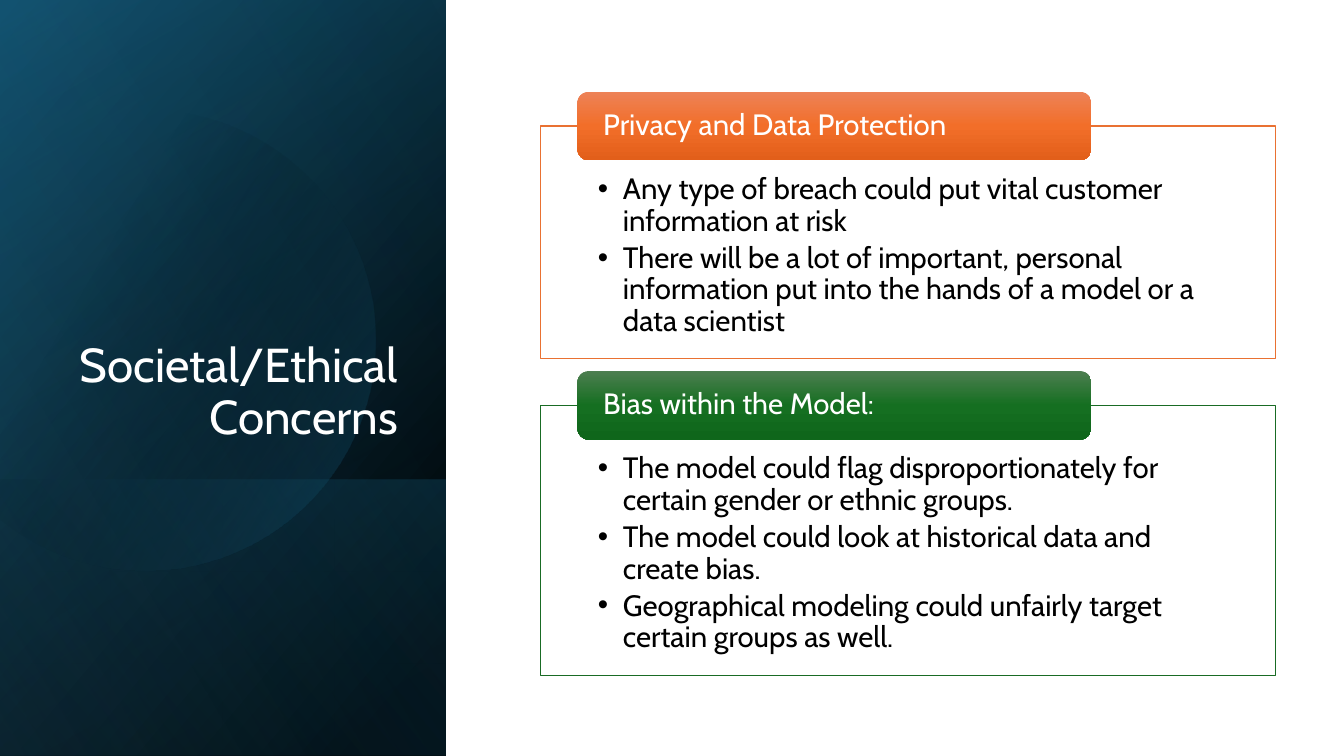
"""Builds the slide on societal and ethical concerns."""
import math

import lxml.etree
import pptx
import pptx.dml.color
import pptx.enum.shapes
import pptx.enum.text
import pptx.oxml.ns
import pptx.util

Pt = pptx.util.Pt
RGBColor = pptx.dml.color.RGBColor
Shape = pptx.enum.shapes.MSO_SHAPE
Anchor = pptx.enum.text.MSO_ANCHOR
Align = pptx.enum.text.PP_ALIGN
qn = pptx.oxml.ns.qn

BLACK = RGBColor(0x00, 0x00, 0x00)
WHITE = RGBColor(0xFF, 0xFF, 0xFF)
NAVY = RGBColor(0x10, 0x48, 0x62)
TEAL = RGBColor(0x15, 0x60, 0x82)
SKY = RGBColor(0x46, 0xB1, 0xE1)
ORANGE = RGBColor(0xE9, 0x71, 0x32)
ORANGE_SHADES = (RGBColor(0xED, 0x82, 0x57), RGBColor(0xF2, 0x6E, 0x29), RGBColor(0xE2, 0x5F, 0x1A))
GREEN = RGBColor(0x19, 0x6B, 0x24)
GREEN_SHADES = (RGBColor(0x4D, 0x7E, 0x50), RGBColor(0x15, 0x6F, 0x21), RGBColor(0x0F, 0x66, 0x1B))

PAGE_WIDTH, PAGE_HEIGHT = 960, 540
PANEL_WIDTH = 318.5
LOWER_TOP = 342.7
FRAME_LEFT, FRAME_WIDTH = 386, 525

PANEL_LAYERS = [
    (0, 220, [(8, BLACK, 100), (100, NAVY, 100)]),
    (0, 240, [(0, BLACK, 0), (99, TEAL, 46)]),
    (LOWER_TOP, 140, [(2, TEAL, 29), (100, BLACK, 30)]),
]
DISC_STOPS = [(29, BLACK, 0), (100, TEAL, 43)]
GLOW_STOPS = [(0, BLACK, 0), (99, SKY, 11)]

CONCERNS = [
    (90, 166, ORANGE, ORANGE_SHADES, "Privacy and Data Protection", [
        "Any type of breach could put vital customer information at risk",
        "There will be a lot of important, personal information put into the hands "
        "of a model or a data scientist",
    ]),
    (289.5, 193, GREEN, GREEN_SHADES, "Bias within the Model:", [
        "The model could flag disproportionately for certain gender or ethnic groups.",
        "The model could look at historical data and create bias.",
        "Geographical modeling could unfairly target certain groups as well.",
    ]),
]


class SlideBuilder:
    """Holds the text style and the current page."""

    font_name = "Cabin"
    line_spacing = 0.9
    text_size = 21

    def __init__(self, page):
        self.page = page

    def gradient(self, shape, angle, stops):
        shape.shadow.inherit = False
        shape.line.fill.background()
        shape.fill.gradient()
        shape.fill.gradient_angle = 360 - angle
        stop_list = shape.fill._xPr.find(qn("a:gradFill")).find(qn("a:gsLst"))
        for stop in list(stop_list):
            stop_list.remove(stop)
        for position, color, opacity in stops:
            stop = lxml.etree.SubElement(stop_list, qn("a:gs"), pos=str(position * 1000))
            tone = lxml.etree.SubElement(stop, qn("a:srgbClr"), val=str(color))
            if opacity < 100:
                lxml.etree.SubElement(tone, qn("a:alpha"), val=str(opacity * 1000))

    def shape(self, kind, left, top, width, height):
        return self.page.shapes.add_shape(kind, Pt(left), Pt(top), Pt(width), Pt(height))

    def panel(self, top, angle, stops):
        panel = self.shape(Shape.RECTANGLE, 0, top, PANEL_WIDTH, PAGE_HEIGHT - top)
        self.gradient(panel, angle, stops)

    def clipped_disc(self, center_x, center_y, radius, angle, stops):
        limit = math.acos(-center_x / radius)
        steps = 90
        turns = [limit * (2 * step / steps - 1) for step in range(steps + 1)]
        points = [(Pt(center_x + radius * math.cos(turn)),
                   Pt(center_y + radius * math.sin(turn))) for turn in turns]
        builder = self.page.shapes.build_freeform(*points[0])
        builder.add_line_segments(points[1:], close=True)
        self.gradient(builder.convert_to_shape(), angle, stops)

    def text(self, box, lines, size, color, anchor, align, margins, bullets=False):
        frame = box.text_frame
        frame.text = "\n".join(lines)
        frame.word_wrap = True
        frame.auto_size = pptx.enum.text.MSO_AUTO_SIZE.NONE
        frame.vertical_anchor = anchor
        (frame.margin_left, frame.margin_top,
         frame.margin_right, frame.margin_bottom) = map(Pt, margins)
        for para in frame.paragraphs:
            if bullets:
                props = para._p.get_or_add_pPr()
                props.set("marL", str(Pt(18)))
                props.set("indent", str(-Pt(18)))
                lxml.etree.SubElement(props, qn("a:buFont"), typeface="Arial")
                lxml.etree.SubElement(props, qn("a:buChar"), char="•")
                para.space_after = Pt(3.6)
            para.alignment = align
            para.line_spacing = self.line_spacing
            for span in para.runs:
                span.font.name = self.font_name
                span.font.size = Pt(size)
                span.font.color.rgb = color

    def title(self, text, left, top, width, height):
        box = self.page.shapes.title
        box.left, box.top, box.width, box.height = map(Pt, (left, top, width, height))
        self.text(box, [text], 34, WHITE, Anchor.BOTTOM, Align.RIGHT, (7.2, 3.6, 7.2, 3.6))
        tree = self.page.shapes._spTree
        tree.remove(box._element)
        tree.append(box._element)

    def concern(self, top, height, color, shades, heading, points):
        frame = self.shape(Shape.RECTANGLE, FRAME_LEFT, top, FRAME_WIDTH, height)
        frame.shadow.inherit = False
        frame.fill.solid()
        frame.fill.fore_color.rgb = WHITE
        frame.line.color.rgb = color
        frame.line.width = Pt(1)
        self.text(frame, points, self.text_size, BLACK, Anchor.TOP, Align.LEFT,
                  (41, 34.5, 41, 11.5), bullets=True)
        header = self.shape(Shape.ROUNDED_RECTANGLE, FRAME_LEFT + 26.5, top - 24.5, 367, 49)
        self.gradient(header, 90, [(50 * index, shade, 100) for index, shade in enumerate(shades)])
        self.text(header, [heading], self.text_size, WHITE, Anchor.MIDDLE, Align.LEFT,
                  (16, 0, 16, 0))


def main():
    deck = pptx.Presentation()
    deck.slide_width, deck.slide_height = Pt(PAGE_WIDTH), Pt(PAGE_HEIGHT)
    slide = SlideBuilder(deck.slides.add_slide(deck.slide_layouts[5]))
    for layer in PANEL_LAYERS:
        slide.panel(*layer)
    slide.clipped_disc(104, 243, 164.5, 30, DISC_STOPS)
    slide.panel(0, 150, GLOW_STOPS)
    slide.title("Societal/Ethical Concerns", 46, 132.5, 245.5, 188.5)
    for concern in CONCERNS:
        slide.concern(*concern)
    deck.save("out.pptx")


if __name__ == "__main__":
    main()
